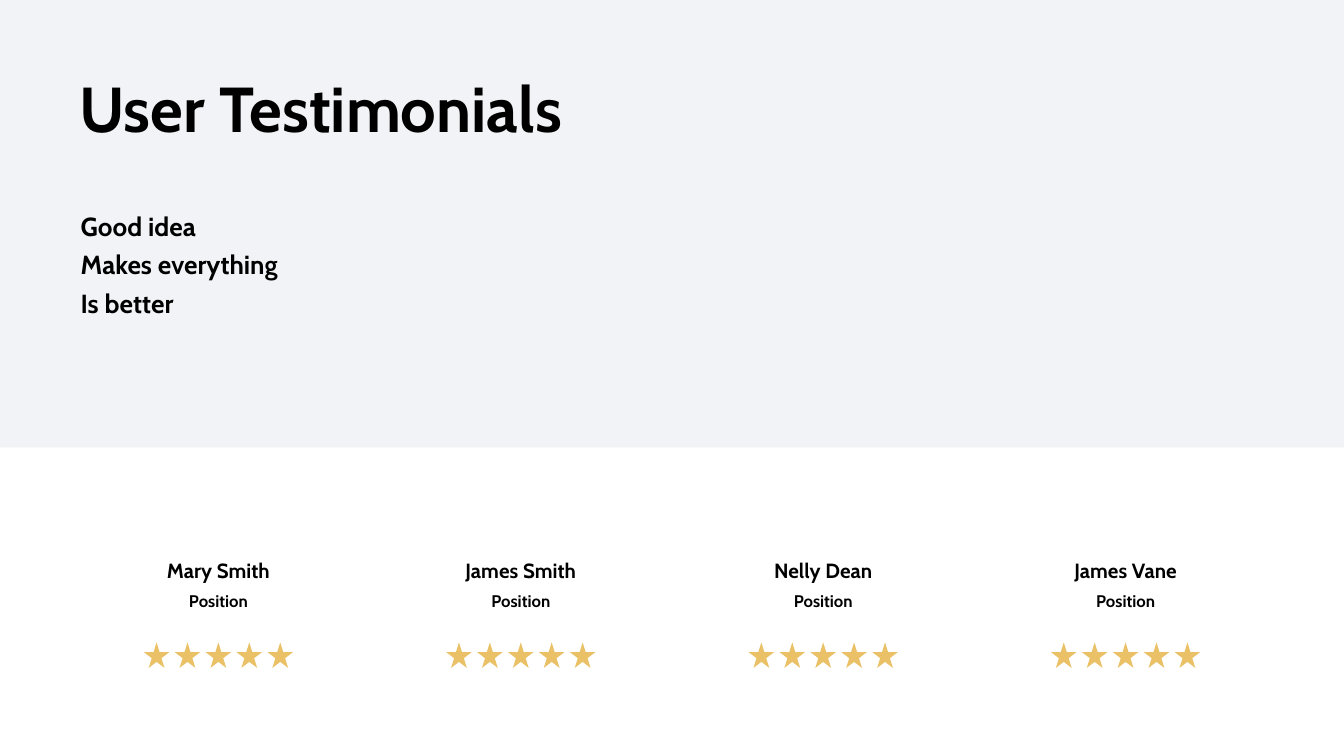
import pptx
import pptx.util
import pptx.dml.color
import pptx.enum.shapes
import pptx.enum.text
import pptx.oxml.ns
import lxml.etree

PX = 4572
BLACK = pptx.dml.color.RGBColor(0x00, 0x00, 0x00)
BAND = pptx.dml.color.RGBColor(0xD5, 0xDB, 0xE5)
GOLD = pptx.dml.color.RGBColor(0xEA, 0xC1, 0x67)
FONT = "Cabin"
LEFT = pptx.enum.text.PP_ALIGN.LEFT
CENTER = pptx.enum.text.PP_ALIGN.CENTER

PEOPLE = [
    ("Mary Smith", 238),
    ("James Smith", 404),
    ("Nelly Dean", 238),
    ("James Vane", 238),
]
FIRST_CENTER, COLUMN_STEP = 325, 450
STAR_COUNT, STAR_SIZE, STAR_STEP = 5, 38, 46


def px(*lengths):
    """Turn pixel lengths into EMU."""
    return [pptx.util.Emu(length * PX) for length in lengths]


def add_filled(shapes, preset, frame, color):
    """Add a preset shape with a plain fill and no line."""
    shape = shapes.add_shape(preset, *px(*frame))
    shape.shadow.inherit = False
    shape.fill.solid()
    shape.fill.fore_color.rgb = color
    shape.line.fill.background()
    return shape


def set_opacity(shape, percent):
    """Make the solid fill of a shape partly transparent."""
    color = shape.fill._xPr.find(".//" + pptx.oxml.ns.qn("a:srgbClr"))
    alpha = lxml.etree.SubElement(color, pptx.oxml.ns.qn("a:alpha"))
    alpha.set("val", str(percent * 1000))


def add_text(page, frame, lines, size, align=LEFT, spacing=None, grow=True):
    """Add a text box with one bold paragraph per line."""
    box = page.shapes.add_textbox(*px(*frame))
    text = box.text_frame
    text.word_wrap = True
    sizing = pptx.enum.text.MSO_AUTO_SIZE
    text.auto_size = sizing.SHAPE_TO_FIT_TEXT if grow else sizing.NONE
    text.margin_left, text.margin_right = px(14, 14)
    text.margin_top, text.margin_bottom = px(7, 7)
    for index, line in enumerate(lines):
        para = text.add_paragraph() if index else text.paragraphs[0]
        para.alignment = align
        if spacing:
            para.line_spacing = spacing
        span = para.add_run()
        span.text = line
        span.font.name = FONT
        span.font.size = pptx.util.Pt(size)
        span.font.bold = True
        span.font.color.rgb = BLACK


def add_rating(page, center, top):
    """Add a group of stars in a row around a center."""
    group = page.shapes.add_group_shape()
    left = center - ((STAR_COUNT - 1) * STAR_STEP + STAR_SIZE) // 2
    for index in range(STAR_COUNT):
        frame = (left + index * STAR_STEP, top, STAR_SIZE, STAR_SIZE)
        star = pptx.enum.shapes.MSO_SHAPE.STAR_5_POINT
        add_filled(group.shapes, star, frame, GOLD)


def add_person(page, center, name, width):
    """Add the name, position and rating of one person."""
    add_text(page, (center - width // 2, 824, width, 50), [name], 11, CENTER)
    add_text(page, (center - 149, 872, 298, 46), ["Position"], 9, CENTER)
    add_rating(page, center, 956)


def main():
    """Build and save the testimonials slide."""
    deck = pptx.Presentation()
    deck.slide_width, deck.slide_height = px(2000, 1125)
    page = deck.slides.add_slide(deck.slide_layouts[6])
    rectangle = pptx.enum.shapes.MSO_SHAPE.RECTANGLE
    band = add_filled(page.shapes, rectangle, (0, 0, 2000, 666), BAND)
    set_opacity(band, 33)
    for index, (name, width) in enumerate(PEOPLE):
        add_person(page, FIRST_CENTER + index * COLUMN_STEP, name, width)
    add_text(page, (104, 96, 1614, 130), ["User Testimonials"], 34, grow=False)
    remarks = ["Good idea", "Makes everything", "Is better"]
    add_text(page, (106, 296, 470, 154), remarks, 14, spacing=1.22)
    deck.save("out.pptx")


if __name__ == "__main__":
    main()
